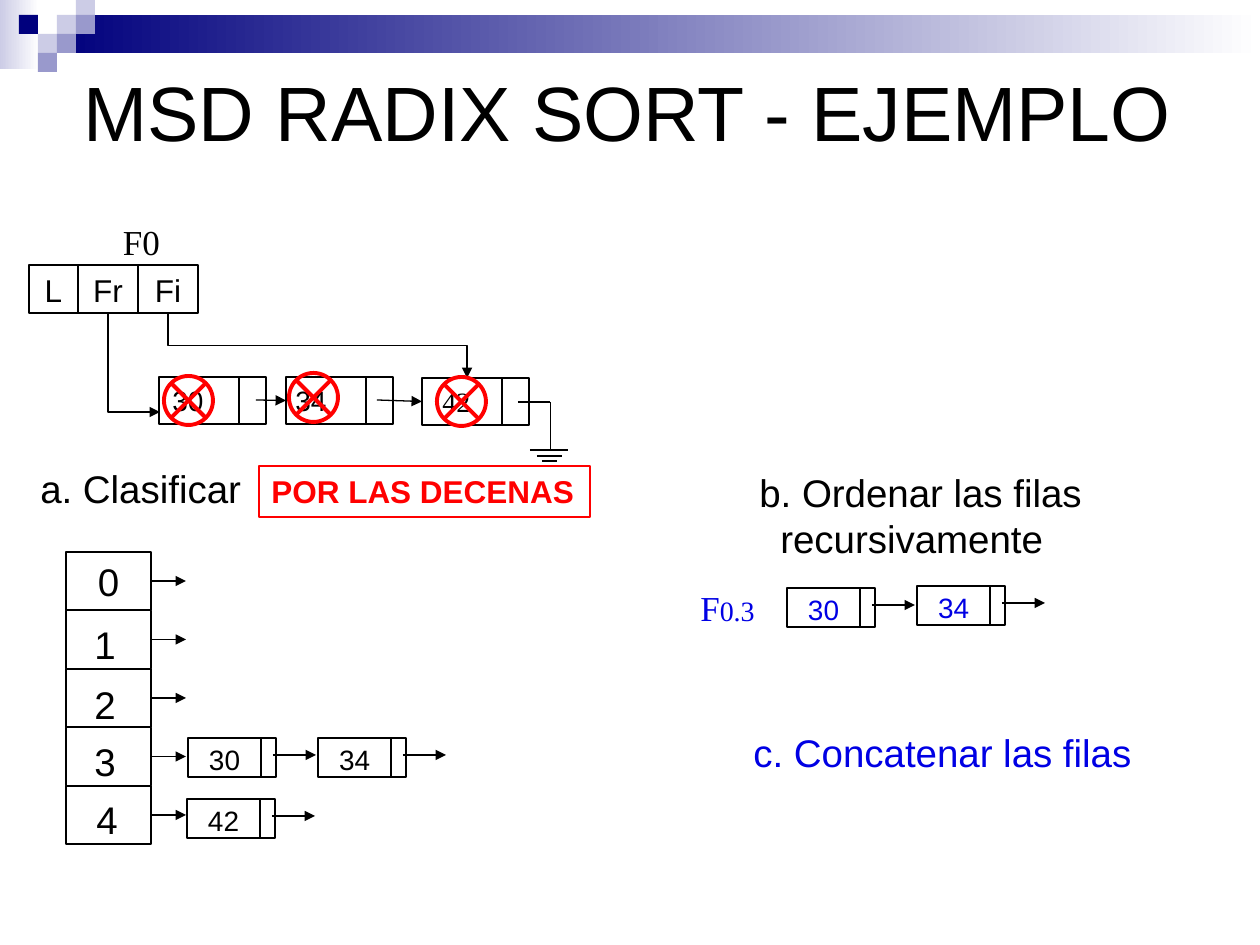
"""Build the MSD radix sort example slide."""
from lxml import etree
from pptx import Presentation
from pptx import util as u
from pptx.dml import color
from pptx.enum import shapes, text
from pptx.oxml import ns

PX = 914400 / 126
BLACK, WHITE, RED, BLUE = "000000", "FFFFFF", "FF0000", "0000E4"
NAVY, LILAC, VIOLET = "00007D", "CCCCE6", "9999CC"
SERIF = "Times New Roman"
LEFT, CENTER = text.PP_ALIGN.LEFT, text.PP_ALIGN.CENTER
RECT = shapes.MSO_SHAPE.RECTANGLE
CROSS = shapes.MSO_SHAPE.FLOWCHART_SUMMING_JUNCTION
STRAIGHT, ELBOW = shapes.MSO_CONNECTOR.STRAIGHT, shapes.MSO_CONNECTOR.ELBOW
rgb = color.RGBColor.from_string

deck = Presentation()
deck.slide_width, deck.slide_height = round(1260 * PX), round(945 * PX)
page = deck.slides.add_slide(deck.slide_layouts[6])


def draw(frame, words="", size=18, ink=BLACK, fill=None, edge=None, weight=0.75, kind=RECT,
         font="Arial", align=CENTER, bold=False, wrap=True, small="",
         anchor=text.MSO_ANCHOR.TOP):
    frame = [round(value * PX) for value in frame]
    if fill or edge:
        box = page.shapes.add_shape(kind, *frame)
        box.shadow.inherit = False
        if fill:
            box.fill.solid()
            box.fill.fore_color.rgb = rgb(fill)
        else:
            box.fill.background()
        if edge:
            box.line.color.rgb = rgb(edge)
            box.line.width = u.Pt(weight)
        else:
            box.line.fill.background()
    else:
        box = page.shapes.add_textbox(*frame)
    if words:
        body = box.text_frame
        body.word_wrap, body.vertical_anchor = wrap, anchor
        for index, content in enumerate(words.split("\n")):
            para = body.add_paragraph() if index else body.paragraphs[0]
            para.alignment = align
            for part, points in ((content, size), (small, 16)):
                if part:
                    span = para.add_run()
                    span.text = part
                    style = {"name": font, "size": u.Pt(points), "bold": bold}
                    for name, value in style.items():
                        setattr(span.font, name, value)
                    span.font.color.rgb = rgb(ink)
    return box


def link(x1, y1, x2, y2, arrow=True, weight=0.75, kind=STRAIGHT):
    line = page.shapes.add_connector(kind, *[round(v * PX) for v in (x1, y1, x2, y2)])
    line.line.color.rgb = rgb(BLACK)
    line.line.width = u.Pt(weight)
    if arrow:
        etree.SubElement(line.line._get_or_add_ln(), ns.qn("a:tailEnd"), type="triangle")
    etree.SubElement(line._element.spPr, ns.qn("a:effectLst"))
    return line


for frame, start in (((0, -4, 39, 73), LILAC), ((57, 15, 1203, 38), NAVY)):
    band = draw(frame, fill=start)
    band.fill.gradient()
    band.fill.gradient_angle = 0
    for stop, shade in zip(band.fill.gradient_stops, (start, WHITE)):
        stop.color.rgb = rgb(shade)
for column, row, shade in ((2, 1, LILAC), (3, 0, LILAC), (3, 1, VIOLET), (1, 2, LILAC),
                           (0, 1, NAVY), (2, 2, VIOLET), (1, 3, VIOLET)):
    draw((19 + 19 * column, 19 * row - 4, 19, 19), fill=shade)

draw((71, 16, 1134, 189), "MSD RADIX SORT - EJEMPLO", 44, align=LEFT,
     anchor=text.MSO_ANCHOR.MIDDLE)

draw((108, 214, 67, 72), "F0", 20, font=SERIF)
for x, width, label in ((29, 49, "L"), (78, 60, "Fr"), (138, 60, "Fi")):
    draw((x, 265, width, 48), label, fill=WHITE, edge=BLACK)

for x1, y1, x2, y2, preset in ((108, 313, 160, 412, "bentConnector2"),
                               (168, 313, 467, 378, "bentConnector3")):
    across, down = x2 - x1, y2 - y1
    left, top = (x1 + x2 - down) / 2, (y1 + y2 - across) / 2
    bend = link(left, top, left + down, top + across, kind=ELBOW)
    bend.rotation = 270 if hasattr(bend, "rotation") else 0
    frame = bend._element.spPr.find(ns.qn("a:xfrm"))
    frame.set("rot", "16200000")
    frame.set("flipH", "1")
    bend._element.spPr.find(ns.qn("a:prstGeom")).set("prst", preset)

queue = []
for x, y, text_x, label, font in ((159, 377, 160, "30", "Arial"), (286, 377, 283, "34", "Arial"),
                                  (422, 378, 430, "42", SERIF)):
    queue.append(draw((x, y, 80, 47), fill=WHITE, edge=BLACK))
    draw((x + 80, y, 27, 47), fill=WHITE, edge=BLACK)
    draw((text_x, y, 72, 70), label, 16, font=font, align=LEFT)
for x, target in zip((256, 377), queue[1:]):
    link(x, 400, x + 32, 400).end_connect(target, 1)
for x1, y1, x2, y2, weight in ((530, 450, 568, 450, 0.75), (537, 456, 562, 456, 0.75),
                               (542, 461, 557, 461, 0.75), (518, 402, 550, 402, 0.75),
                               (550, 402, 550, 449, 0.5)):
    link(x1, y1, x2, y2, False, weight)
for x, y in ((164, 376), (289, 373), (437, 377)):
    draw((x, y, 49, 49), edge=RED, weight=2.25, kind=CROSS)

draw((28, 459, 227, 59), "a. Clasificar", 22, align=LEFT, wrap=False)
draw((259, 466, 331, 51), "POR LAS DECENAS", 18, RED, edge=RED, align=LEFT, bold=True,
     wrap=False)
steps = draw((747, 463, 363, 106), "b. Ordenar las filas\nrecursivamente", 22, align=LEFT,
             wrap=False)
steps.text_frame.paragraphs[1]._p.get_or_add_pPr().set("marL", str(round(21 * PX)))
draw((741, 723, 408, 59), "c. Concatenar las filas", 22, BLUE, align=LEFT, wrap=False)

for digit, (text_x, text_y) in enumerate(((66, 552), (69, 615), (69, 675), (69, 732), (71, 790))):
    y = 552 + 58.5 * digit
    bucket = draw((66, y, 85, 58), fill=WHITE, edge=BLACK)
    link(151, y + 29, 186, y + 29).begin_connect(bucket, 3)
    draw((text_x, text_y, 85 if digit == 0 else 72, 50), str(digit), 22)

for x, y, label, ink in ((188, 738, "30", BLACK), (318, 738, "34", BLACK), (187, 799, "42", BLACK),
                         (787, 588, "30", BLUE), (917, 586, "34", BLUE)):
    draw((x, y, 73, 39), fill=WHITE, edge=BLACK)
    draw((x + 73, y, 15, 39), fill=WHITE, edge=BLACK)
    link(x + 85, y + 17, x + 128, y + 17)
    draw((x - 12, y - 2, 97, 54), label, 16, ink)
draw((679, 580, 97, 72), "F", 20, BLUE, font=SERIF, small="0.3")

deck.save("out.pptx")
